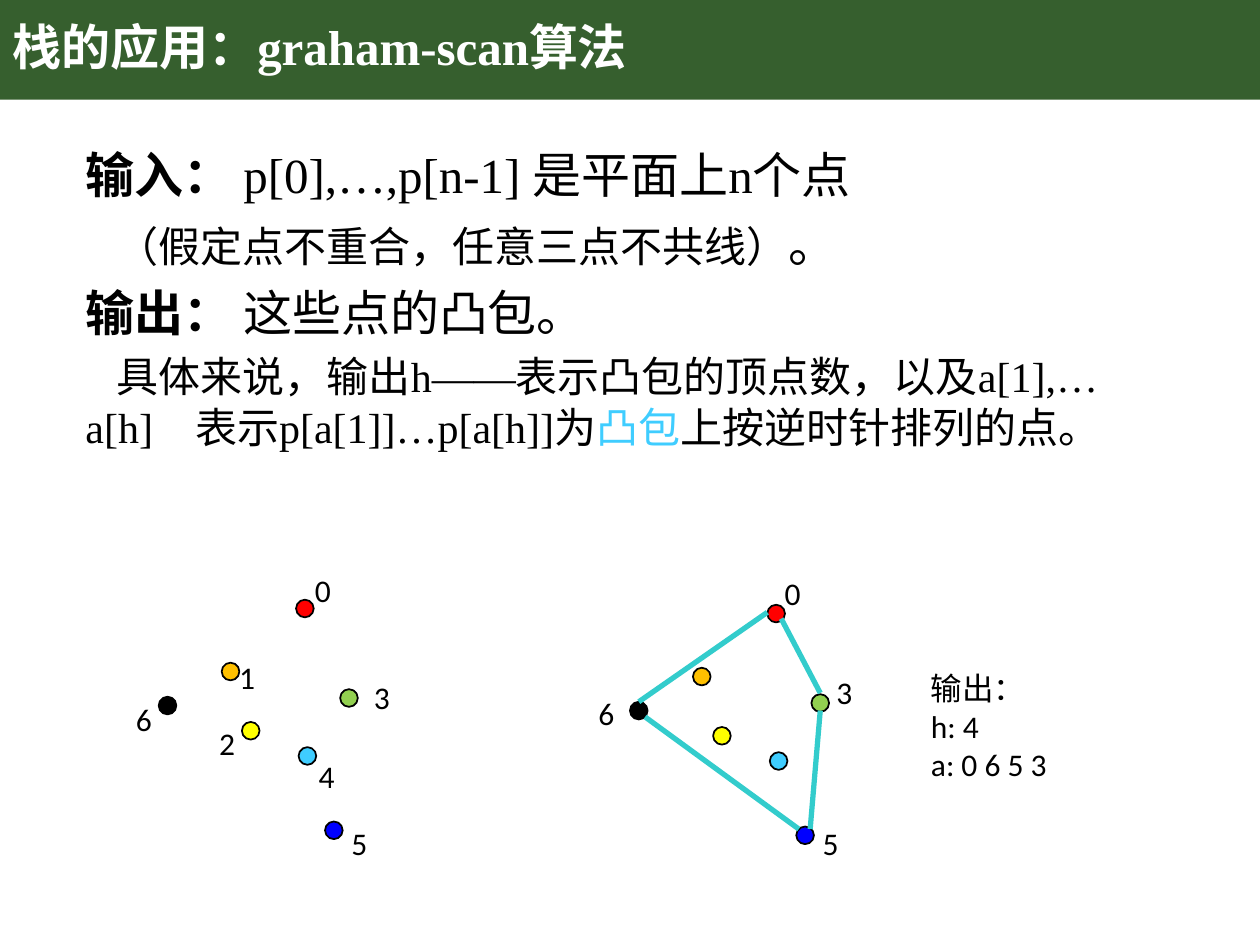
from dataclasses import dataclass
from typing import Any

import pptx
import pptx.dml.color
import pptx.enum.shapes
import pptx.enum.text
import pptx.oxml.ns
import pptx.util
from lxml import etree

COLORS = {
    "banner": "365F2E", "white": "FFFFFF", "black": "000000", "red": "FF0000",
    "orange": "FFC000", "yellow": "FFFF00", "green": "92D050", "sky": "3FCDFF",
    "blue": "0000FF", "hull": "33CCCC",
}
SERIF, SANS = "Times New Roman", "Calibri"
COLUMNS, ROWS = 10, 7.5
DOT_SIZE = 0.14
LABEL_SIZE = (0.6, 0.4)
BANNER_ROWS = 0.79

presentation = pptx.Presentation()
presentation.slide_width = pptx.util.Inches(10)
presentation.slide_height = pptx.util.Inches(7.5)
slide = presentation.slides.add_slide(presentation.slide_layouts[5])


@dataclass(frozen=True)
class Dot:
    color: str
    column: float
    row: float


@dataclass(frozen=True)
class Label:
    text: str
    column: float
    row: float


@dataclass(frozen=True)
class Edge:
    start: tuple[float, float]
    end: tuple[float, float]


@dataclass(frozen=True)
class Diagram:
    shift: tuple[float, float]
    labels: list[Label]
    edges: list[Edge]


@dataclass(frozen=True)
class Piece:
    text: str
    size: float
    bold: bool = False
    color: str = "black"


@dataclass(frozen=True)
class Line:
    pieces: list[Piece]
    first_indent: float = 0


DOTS = [
    Dot("red", 2.35, 4.76), Dot("green", 2.7, 5.47), Dot("black", 1.26, 5.53),
    Dot("sky", 2.37, 5.93), Dot("blue", 2.58, 6.52), Dot("yellow", 1.92, 5.73),
    Dot("orange", 1.76, 5.26),
]
DIAGRAMS = [
    Diagram((0, 0), [
        Label("0", 2.4, 4.48), Label("1", 1.8, 5.17), Label("2", 1.64, 5.7),
        Label("3", 2.87, 5.33), Label("4", 2.43, 5.96), Label("5", 2.69, 6.49),
        Label("6", 0.98, 5.51),
    ], []),
    Diagram((3.74, 0.04), [
        Label("0", 6.13, 4.51), Label("3", 6.54, 5.29),
        Label("5", 6.43, 6.49), Label("6", 4.65, 5.46),
    ], [
        Edge((6.2, 4.91), (6.51, 5.5)), Edge((6.43, 6.58), (6.51, 5.64)),
        Edge((6.34, 6.58), (5.12, 5.69)), Edge((6.09, 4.86), (5.07, 5.57)),
    ]),
]
RESULT = [Line([Piece(text, 18)]) for text in ("输出：", "h: 4", "a: 0 6 5 3")]
STATEMENT = [
    Line([Piece("输入： ", 28, True), Piece("p[0],…,p[n-1] 是平面上n个点", 28)]),
    Line([Piece("（假定点不重合，任意三点不共线）", 24), Piece("。", 28)], 0.25),
    Line([Piece("输出： ", 28, True), Piece("这些点的凸包。", 28)]),
    Line([
        Piece("具体来说，输出h——表示凸包的顶点数，以及a[1],…a[h]　表示p[a[1]]…p[a[h]]为", 24),
        Piece("凸包", 24, color="sky"),
        Piece("上按逆时针排列的点。", 24),
    ], 0.25),
]


def across(columns: float) -> int:
    return round(presentation.slide_width * columns / COLUMNS)


def down(rows: float) -> int:
    return round(presentation.slide_height * rows / ROWS)


def rgb(name: str) -> pptx.dml.color.RGBColor:
    return pptx.dml.color.RGBColor.from_string(COLORS[name])


def format_font(font: Any, name: str, size: float, color: str, bold: bool) -> None:
    font.name, font.size, font.bold = name, pptx.util.Pt(size), bold
    font.color.rgb = rgb(color)


def add_filled(kind: Any, column: float, row: float, width: float, height: float,
               color: str) -> Any:
    shape = slide.shapes.add_shape(
        kind, across(column), down(row), across(width), down(height))
    shape.shadow.inherit = False
    shape.fill.solid()
    shape.fill.fore_color.rgb = rgb(color)
    return shape


def add_dot(dot: Dot, shift: tuple[float, float]) -> None:
    shape = add_filled(pptx.enum.shapes.MSO_SHAPE.OVAL, dot.column + shift[0],
                       dot.row + shift[1], DOT_SIZE, DOT_SIZE, dot.color)
    shape.line.color.rgb = rgb("black")
    shape.line.width = pptx.util.Pt(1)


def add_edge(edge: Edge) -> None:
    connector = slide.shapes.add_connector(
        pptx.enum.shapes.MSO_CONNECTOR.STRAIGHT,
        across(edge.start[0]), down(edge.start[1]), across(edge.end[0]), down(edge.end[1]))
    connector.line.color.rgb = rgb("hull")
    connector.line.width = pptx.util.Pt(3)
    etree.SubElement(connector._element.spPr, pptx.oxml.ns.qn("a:effectLst"))


def add_text(lines: list[Line], column: float, row: float, width: float, height: float,
             font_name: str, space_before: float = 0, grow: bool = True) -> None:
    box = slide.shapes.add_textbox(across(column), down(row), across(width), down(height))
    frame = box.text_frame
    frame.word_wrap = True
    if grow:
        frame.auto_size = pptx.enum.text.MSO_AUTO_SIZE.SHAPE_TO_FIT_TEXT
    for index, line in enumerate(lines):
        paragraph = frame.add_paragraph() if index else frame.paragraphs[0]
        if index:
            paragraph.space_before = pptx.util.Pt(space_before)
        if line.first_indent:
            paragraph._p.get_or_add_pPr().set("indent", str(across(line.first_indent)))
        for piece in line.pieces:
            run = paragraph.add_run()
            run.text = piece.text
            format_font(run.font, font_name, piece.size, piece.color, piece.bold)


def add_title() -> None:
    banner = add_filled(pptx.enum.shapes.MSO_SHAPE.RECTANGLE, 0, 0,
                        COLUMNS, BANNER_ROWS, "banner")
    banner.line.fill.background()
    title = slide.shapes.title
    title._element.addprevious(banner._element)
    title.left, title.top = 0, 0
    title.width, title.height = across(8.62), down(BANNER_ROWS)
    title.text_frame.text = "栈的应用：graham-scan算法"
    title.text_frame.vertical_anchor = pptx.enum.text.MSO_ANCHOR.MIDDLE
    paragraph = title.text_frame.paragraphs[0]
    paragraph.alignment = pptx.enum.text.PP_ALIGN.LEFT
    paragraph.line_spacing = 0.9
    format_font(paragraph.runs[0].font, SERIF, 28, "white", True)


def add_diagram(diagram: Diagram) -> None:
    for dot in DOTS:
        add_dot(dot, diagram.shift)
    for edge in diagram.edges:
        add_edge(edge)
    for label in diagram.labels:
        add_text([Line([Piece(label.text, 18)])], label.column, label.row,
                 *LABEL_SIZE, SANS)


def main() -> None:
    add_title()
    for diagram in DIAGRAMS:
        add_diagram(diagram)
    add_text(RESULT, 7.29, 5.26, 1.93, 1.01, SANS)
    add_text(STATEMENT, 0.58, 1.1, 8.83, 2.84, SERIF, space_before=5.6, grow=False)
    presentation.save("out.pptx")


if __name__ == "__main__":
    main()
